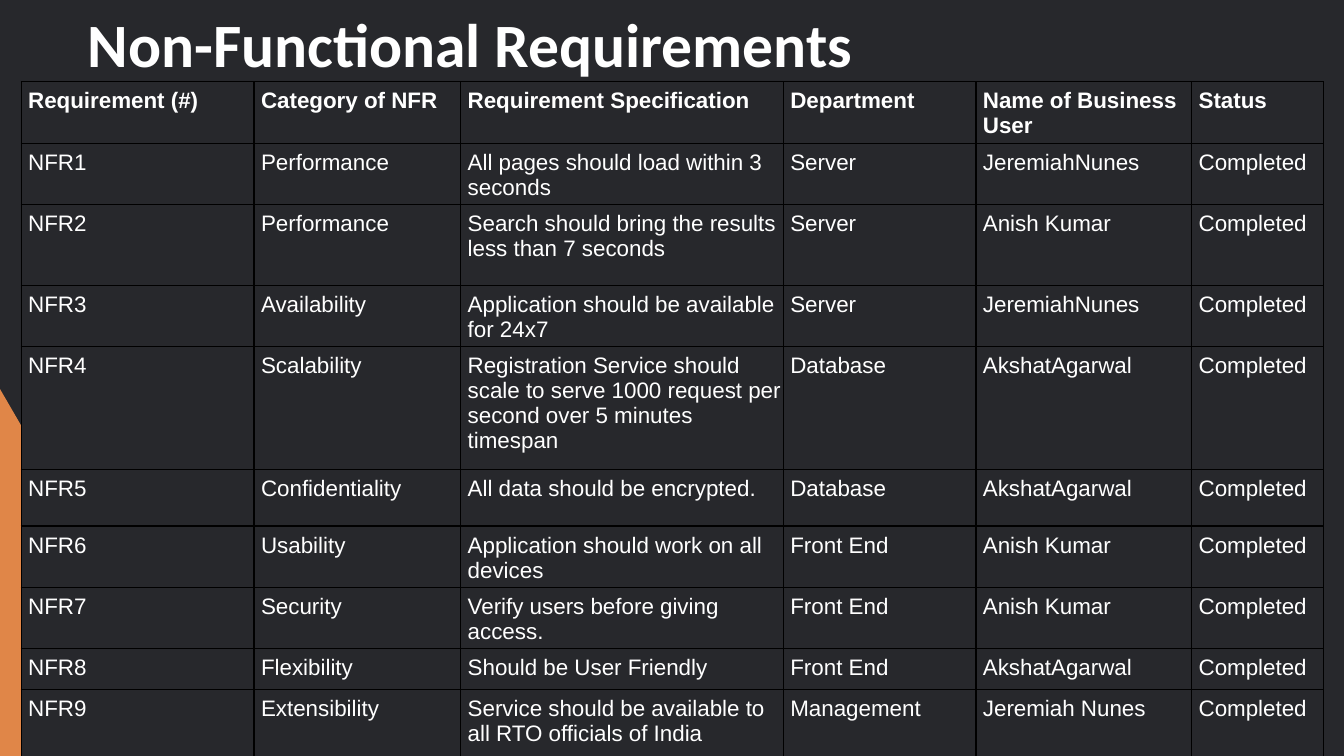
from dataclasses import dataclass

from lxml.etree import SubElement
from pptx import Presentation
from pptx.dml.color import RGBColor
from pptx.enum.text import MSO_ANCHOR
from pptx.oxml.ns import qn
from pptx.util import Inches, Pt


@dataclass(frozen=True)
class Theme:
    background: str = "27282C"
    text: str = "FFFFFF"
    border: str = "000000"
    wedge: str = "E08648"
    wedge_tint: str = "E36C64"
    tint_opacity: int = 30
    title_font: str = "Calibri"
    table_font: str = "Arial"
    title_size: int = 44
    table_size: int = 16
    border_width: int = 1


THEME = Theme()
HEADINGS = ("Requirement (#)", "Category of NFR", "Requirement Specification",
            "Department", "Name of Business User", "Status")
# Category, specification, department, business user
REQUIREMENTS = (
    ("Performance", "All pages should load within 3 seconds", "Server", "JeremiahNunes"),
    ("Performance", "Search should bring the results less than 7 seconds", "Server", "Anish Kumar"),
    ("Availability", "Application should be available for 24x7", "Server", "JeremiahNunes"),
    ("Scalability", "Registration Service should scale to serve 1000 request per second "
     "over 5 minutes timespan", "Database", "AkshatAgarwal"),
    ("Confidentiality", "All data should be encrypted.", "Database", "AkshatAgarwal"),
    ("Usability", "Application should work on all devices", "Front End", "Anish Kumar"),
    ("Security", "Verify users before giving access.", "Front End", "Anish Kumar"),
    ("Flexibility", "Should be User Friendly", "Front End", "AkshatAgarwal"),
    ("Extensibility", "Service should be available to all RTO officials of India",
     "Management", "Jeremiah Nunes"),
)
COLUMN_WIDTHS = (2.31, 2.05, 3.2, 1.91, 2.14, 1.31)
ROW_HEIGHTS = (0.61, 0.61, 0.8, 0.61, 1.22, 0.56, 0.61, 0.56, 0.41, 0.8)


def set_values(target, values):
    for name, value in values.items():
        setattr(target, name, value)


def paint(fill, colour):
    fill.solid()
    fill.fore_color.rgb = RGBColor.from_string(colour)


def write(para, text, font, size, bold):
    span = para.add_run()
    span.text = text
    set_values(span.font, {"name": font, "size": Pt(size), "bold": bold})
    span.font.color.rgb = RGBColor.from_string(THEME.text)


def add_wedge(page, left, top, width, height, apex, colour, opacity=None):
    """Triangle on the base of its box, with its peak at apex inches from the left."""
    points = [(apex, 0), (width, height), (0, height)]
    corners = [(Inches(left + x), Inches(top + y)) for x, y in points]
    builder = page.shapes.build_freeform(*corners[0])
    builder.add_line_segments(corners[1:], close=True)
    wedge = builder.convert_to_shape()
    wedge.shadow.inherit = False
    wedge.line.fill.background()
    paint(wedge.fill, colour)
    if opacity is not None:
        colour_node = wedge.fill._xPr.find(qn("a:solidFill"))[0]
        SubElement(colour_node, qn("a:alpha"), val=str(opacity * 1000))


def add_title(page, left, top, width, height, text):
    box = page.shapes.add_textbox(*map(Inches, (left, top, width, height)))
    set_values(box.text_frame, {"word_wrap": True, "vertical_anchor": MSO_ANCHOR.BOTTOM})
    para = box.text_frame.paragraphs[0]
    para.line_spacing = 0.9
    write(para, text, THEME.title_font, THEME.title_size, True)


def add_borders(cell):
    properties = cell._tc.get_or_add_tcPr()
    for side in ("lnL", "lnR", "lnT", "lnB"):
        line = SubElement(properties, qn(f"a:{side}"), w=str(Pt(THEME.border_width)))
        fill = SubElement(line, qn("a:solidFill"))
        SubElement(fill, qn("a:srgbClr"), val=THEME.border)


def fill_cell(cell, text, bold):
    set_values(cell, {"margin_left": Inches(0.07), "margin_top": Inches(0.07),
                      "margin_right": 0, "margin_bottom": 0})
    add_borders(cell)
    paint(cell.fill, THEME.background)
    write(cell.text_frame.paragraphs[0], text, THEME.table_font, THEME.table_size, bold)


def add_requirements_table(page, left, top, width, height):
    """Column widths and row heights are shared out in proportion to the box."""
    rows = [HEADINGS] + [(f"NFR{number}", *requirement, "Completed")
                         for number, requirement in enumerate(REQUIREMENTS, 1)]
    frame = page.shapes.add_table(len(rows), len(HEADINGS),
                                  *map(Inches, (left, top, width, height)))
    table = frame.table
    set_values(table, {"first_row": True, "horz_banding": False})
    for column, share in zip(table.columns, COLUMN_WIDTHS):
        column.width = Inches(width * share / sum(COLUMN_WIDTHS))
    for row, share in zip(table.rows, ROW_HEIGHTS):
        row.height = Inches(height * share / sum(ROW_HEIGHTS))
    for row_index, texts in enumerate(rows):
        for column_index, text in enumerate(texts):
            fill_cell(table.cell(row_index, column_index), text, row_index == 0)


def build_requirements_page(deck):
    page = deck.slides.add_slide(deck.slide_layouts[6])
    paint(page.background.fill, THEME.background)
    add_wedge(page, 0, 3.98, 1.28, 3.52, 0.51, THEME.wedge_tint, THEME.tint_opacity)
    add_wedge(page, 0, 3.86, 2.11, 3.64, 0, THEME.wedge)
    add_title(page, 0.77, 0, 11.24, 0.85, "Non-Functional Requirements")
    add_requirements_table(page, 0.21, 0.81, 12.92, 6.79)


def main():
    deck = Presentation()
    set_values(deck, {"slide_width": Inches(13.33), "slide_height": Inches(7.5)})
    build_requirements_page(deck)
    deck.save("out.pptx")


if __name__ == "__main__":
    main()
